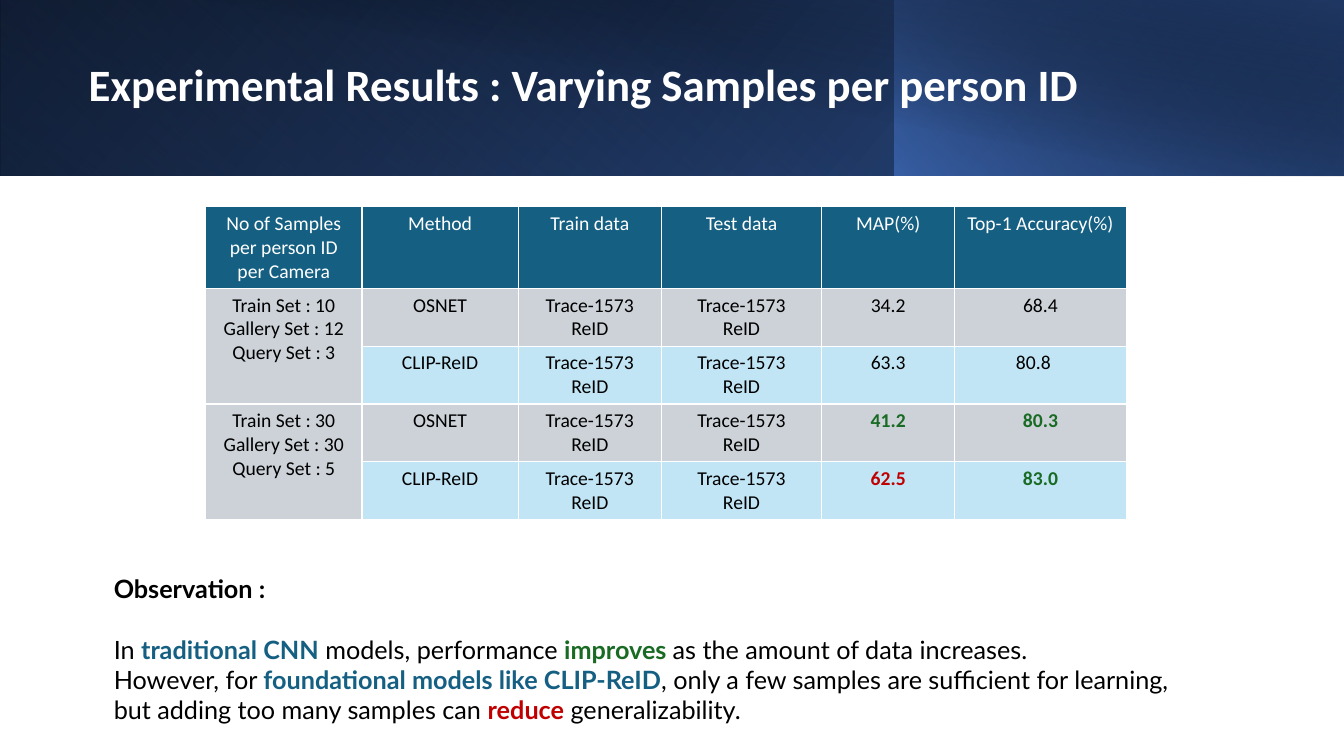
from dataclasses import dataclass

from pptx import Presentation
from pptx.dml.color import RGBColor
from pptx.enum.shapes import MSO_SHAPE
from pptx.enum.text import MSO_ANCHOR, MSO_AUTO_SIZE, PP_ALIGN
from pptx.oxml import parse_xml
from pptx.oxml.ns import nsdecls, qn
from pptx.util import Inches, Pt


@dataclass(frozen=True)
class Theme:
    white: str = "FFFFFF"
    black: str = "000000"
    teal: str = "156082"
    grey: str = "CCD2D8"
    pale_blue: str = "C1E5F5"
    green: str = "196B24"
    red: str = "C00000"
    navy: str = "1F3864"
    blue: str = "4472C4"
    deep_blue: str = "2F5496"
    heading_font: str = "Calibri"
    body_font: str = "Lato"
    title_size: int = 32
    table_size: int = 14
    body_size: int = 18


THEME = Theme()

COLUMN_WIDTHS = [1.55, 1.55, 1.42, 1.59, 1.32, 1.7]
ROW_HEIGHTS = [0.81] + [0.57] * 4
HEADINGS = ["No of Samples per person ID per Camera", "Method", "Train data",
            "Test data", "MAP(%)", "Top-1 Accuracy(%)"]
DATASET = "Trace-1573\vReID"
SAMPLE_SETS = ["Train Set : 10\nGallery Set : 12\nQuery Set : 3",
               "Train Set : 30\nGallery Set : 30\nQuery Set : 5"]
# Method, then (value, highlight colour) for MAP and Top-1 accuracy
RESULTS = [
    ("OSNET", ("34.2", None), ("68.4", None)),
    ("CLIP-ReID", ("63.3", None), ("80.8", None)),
    ("OSNET", ("41.2", THEME.green), ("80.3", THEME.green)),
    ("CLIP-ReID", ("62.5", THEME.red), ("83.0", THEME.green)),
]
# Each span is (text, highlight colour)
OBSERVATIONS = [
    [("In ", None), ("traditional CNN", THEME.teal),
     (" models, performance ", None), ("improves ", THEME.green),
     ("as the amount of data increases.", None)],
    [("However, for ", None),
     ("foundational models like CLIP-ReID", THEME.teal),
     (", only a few samples are sufficient for learning, but adding too many "
      "samples can ", None),
     ("reduce", THEME.red), (" generalizability.", None)],
]


def add_span(para, text, font, size, color, bold=False):
    span = para.add_run()
    span.text = text
    span.font.name = font
    span.font.size = Pt(size)
    span.font.bold = bold
    span.font.color.rgb = RGBColor.from_string(color)


def add_gradient_band(page, left, width, height, angle, stops, flip=False, turn=0):
    """Draw a header band; each stop is (position %, colour, opacity %)."""
    band = page.shapes.add_shape(MSO_SHAPE.RECTANGLE, Inches(left), 0,
                                 Inches(width), Inches(height))
    band.shadow.inherit = False
    band.line.fill.background()
    band.rotation = turn
    properties = band._element.spPr
    if flip:
        properties.find(qn("a:xfrm")).set("flipH", "1")
    stop_xml = "".join(
        f'<a:gs pos="{position * 1000}"><a:srgbClr val="{color}">'
        f'<a:alpha val="{opacity * 1000}"/></a:srgbClr></a:gs>'
        for position, color, opacity in stops)
    band.fill.gradient()
    properties.replace(properties.find(qn("a:gradFill")), parse_xml(
        f'<a:gradFill {nsdecls("a")} rotWithShape="1"><a:gsLst>{stop_xml}</a:gsLst>'
        f'<a:lin ang="{angle * 60000}" scaled="0"/></a:gradFill>'))


def add_header(page):
    add_gradient_band(page, 0, 13.33, 1.74, 140,
                      [(0, THEME.black, 100), (100, THEME.deep_blue, 100)], flip=True)
    add_gradient_band(page, 0, 8.88, 1.74, 230,
                      [(0, THEME.blue, 0), (20, THEME.blue, 0), (100, THEME.navy, 54)],
                      flip=True, turn=180)
    add_gradient_band(page, 8.87, 4.46, 1.74, 220,
                      [(0, THEME.blue, 65), (100, THEME.black, 29)], flip=True)
    add_gradient_band(page, 0.5, 12.83, 1.75, 280,
                      [(0, THEME.black, 0), (50, THEME.black, 0),
                       (99, THEME.navy, 51), (100, THEME.navy, 51)])


def set_title(page, text):
    title = page.shapes.title
    title.left, title.top = Inches(0.78), Inches(0.43)
    title.width, title.height = Inches(11.29), Inches(0.87)
    page.shapes._spTree.append(title._element)  # in front of the header bands
    frame = title.text_frame
    frame.auto_size = MSO_AUTO_SIZE.NONE
    frame.vertical_anchor = MSO_ANCHOR.MIDDLE
    para = frame.paragraphs[0]
    para.alignment = PP_ALIGN.LEFT
    para.line_spacing = 0.9
    add_span(para, text, THEME.heading_font, THEME.title_size, THEME.white, bold=True)


def set_borders(cell):
    properties = cell._tc.get_or_add_tcPr()
    for index, side in enumerate(("lnL", "lnR", "lnT", "lnB")):
        properties.insert(index, parse_xml(
            f'<a:{side} {nsdecls("a")} w="{Pt(1)}"><a:solidFill>'
            f'<a:srgbClr val="{THEME.white}"/></a:solidFill></a:{side}>'))


def fill_cell(cell, text, fill, color=THEME.black, bold=False):
    """Write a cell: a newline starts a paragraph, a vertical tab breaks a line."""
    cell.fill.solid()
    cell.fill.fore_color.rgb = RGBColor.from_string(fill)
    set_borders(cell)
    frame = cell.text_frame
    for index, block in enumerate(text.split("\n")):
        para = frame.add_paragraph() if index else frame.paragraphs[0]
        para.alignment = PP_ALIGN.CENTER
        for line_index, line in enumerate(block.split("\v")):
            if line_index:
                para.add_line_break()
            add_span(para, line, THEME.heading_font, THEME.table_size, color, bold)


def add_results_table(page):
    table = page.shapes.add_table(
        len(ROW_HEIGHTS), len(COLUMN_WIDTHS), Inches(2.04), Inches(2.05),
        Inches(sum(COLUMN_WIDTHS)), Inches(sum(ROW_HEIGHTS))).table
    for column, width in zip(table.columns, COLUMN_WIDTHS):
        column.width = Inches(width)
    for row, height in zip(table.rows, ROW_HEIGHTS):
        row.height = Inches(height)

    for column, heading in enumerate(HEADINGS):
        fill_cell(table.cell(0, column), heading, THEME.teal, THEME.white)
    for index, samples in enumerate(SAMPLE_SETS):
        top = 1 + 2 * index
        table.cell(top, 0).merge(table.cell(top + 1, 0))
        fill_cell(table.cell(top, 0), samples, THEME.grey)
    for row, (method, *scores) in enumerate(RESULTS, start=1):
        fill = THEME.grey if row % 2 else THEME.pale_blue
        for column, text in enumerate((method, DATASET, DATASET), start=1):
            fill_cell(table.cell(row, column), text, fill)
        for column, (value, highlight) in enumerate(scores, start=4):
            fill_cell(table.cell(row, column), value, fill,
                      highlight or THEME.black, bool(highlight))
    table.cell(2, 5).margin_right = Inches(0.24)


def add_observation(page):
    box = page.shapes.add_textbox(Inches(1.03), Inches(5.64), Inches(11.01), Inches(1.82))
    frame = box.text_frame
    frame.word_wrap = True
    heading = frame.paragraphs[0]
    heading.space_after = Pt(21.6)
    add_span(heading, "Observation :", THEME.body_font, THEME.body_size,
             THEME.black, bold=True)
    for spans in OBSERVATIONS:
        para = frame.add_paragraph()
        for text, highlight in spans:
            add_span(para, text, THEME.body_font, THEME.body_size,
                     highlight or THEME.black, bool(highlight))


def main():
    deck = Presentation()
    deck.slide_width, deck.slide_height = Inches(13.33), Inches(7.5)
    page = deck.slides.add_slide(deck.slide_layouts.get_by_name("Title Only"))
    add_header(page)
    set_title(page, "Experimental Results : Varying Samples per person ID")
    add_results_table(page)
    add_observation(page)
    deck.save("out.pptx")


if __name__ == "__main__":
    main()
